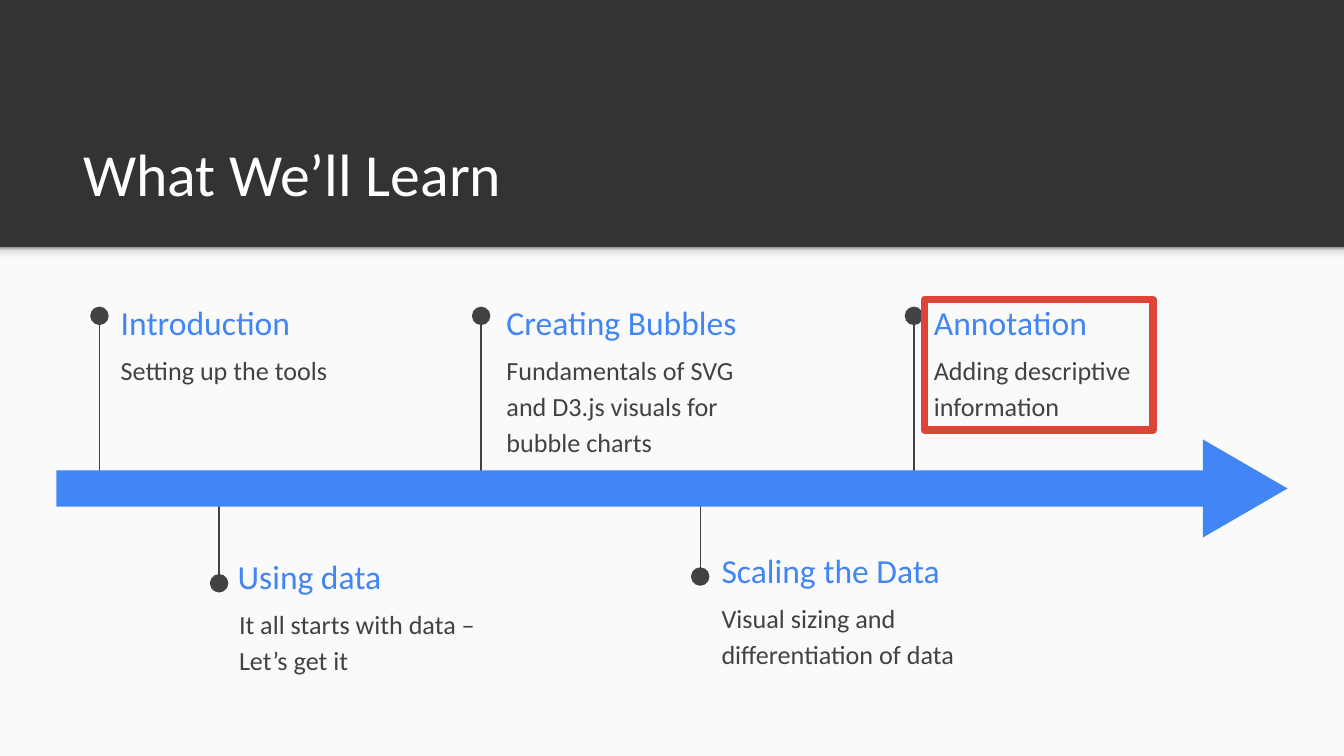
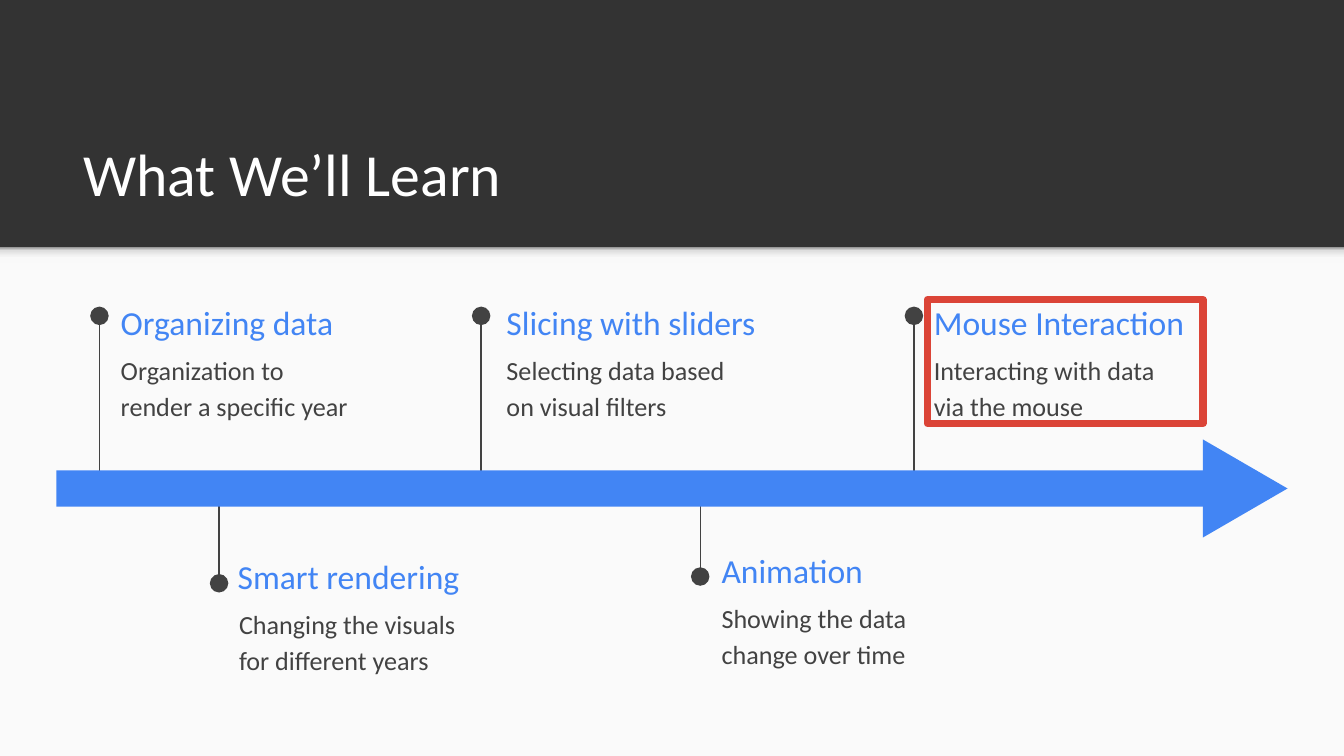
from collections import namedtuple

from lxml import etree
from pptx import Presentation
from pptx.dml.color import RGBColor
from pptx.enum.shapes import MSO_CONNECTOR, MSO_SHAPE
from pptx.enum.text import MSO_ANCHOR
from pptx.oxml.ns import qn
from pptx.util import Inches, Pt

# Shared look
FONT = "Calibri"
CHARCOAL = RGBColor(0x33, 0x33, 0x33)
PAPER = RGBColor(0xFA, 0xFA, 0xFA)
GREY = RGBColor(0x42, 0x42, 0x42)
BLUE = RGBColor(0x42, 0x85, 0xF4)
RED = RGBColor(0xDB, 0x44, 0x37)
WHITE = RGBColor(0xFF, 0xFF, 0xFF)
BAND_SHADE = [(0, "F9F9F9"), (36, "F9F9F9"), (80, "DEDEDE"), (100, "999999")]
SLIDE_WIDTH = 10
SLIDE_HEIGHT = SLIDE_WIDTH * 9 / 16
BAND_TOP = 1.84
STEP_WIDTH = 1.98
HEADING_TO_DETAIL = 0.32

# Fixed places of the five milestones along the arrow
Stop = namedtuple("Stop", "stem_x stem_start stem_end heading_x detail_x heading_y")
STOPS = [
    Stop(0.74, 3.58, 2.35, 0.8, 0.8, 2.18),
    Stop(1.63, 3.6, 4.34, 1.67, 1.68, 4.07),
    Stop(3.58, 3.61, 2.35, 3.67, 3.67, 2.18),
    Stop(5.21, 3.56, 4.29, 5.27, 5.27, 4.03),
    Stop(6.8, 3.62, 2.35, 6.85, 6.85, 2.18),
]

# Each slide: (heading, detail, heading width) per milestone, and the highlight
LESSONS = [
    ([
        ("Introduction", "Setting up the tools", STEP_WIDTH),
        ("Using data", "It all starts with data – Let’s get it", 2.54),
        ("Creating Bubbles",
         "Fundamentals of SVG and D3.js visuals for bubble charts", STEP_WIDTH),
        ("Scaling the Data", "Visual sizing and differentiation of data", STEP_WIDTH),
        ("Annotation", "Adding descriptive information", STEP_WIDTH),
    ], (6.88, 2.23, 1.7, 0.97)),
    ([
        ("Organizing data", "Organization to render a specific year", STEP_WIDTH),
        ("Smart rendering", "Changing the visuals for different years", 2.54),
        ("Slicing with sliders", "Selecting data based on visual filters", 2.58),
        ("Animation", "Showing the data change over time", STEP_WIDTH),
        ("Mouse Interaction", "Interacting with data via the mouse", 2.1),
    ], (6.9, 2.23, 2.05, 0.92)),
]


def add_block(shapes, kind, box, color=None):
    block = shapes.add_shape(kind, *map(Inches, box))
    block.shadow.inherit = False
    block.line.fill.background()
    if color is None:
        block.fill.background()
    else:
        block.fill.solid()
        block.fill.fore_color.rgb = color
    return block


def add_label(slide, box, text, size, color, anchor):
    label = slide.shapes.add_textbox(*map(Inches, box))
    frame = label.text_frame
    frame.word_wrap = True
    frame.vertical_anchor = anchor
    frame.margin_left = frame.margin_right = Inches(0.1)
    frame.margin_top = frame.margin_bottom = Inches(0.1)
    paragraph = frame.paragraphs[0]
    run = paragraph.add_run()
    run.text = text
    run.font.name = FONT
    run.font.size = Pt(size)
    run.font.color.rgb = color
    return paragraph


def add_backdrop(slide):
    slide.background.fill.solid()
    slide.background.fill.fore_color.rgb = CHARCOAL
    add_block(slide.shapes, MSO_SHAPE.RECTANGLE,
              (0, BAND_TOP, SLIDE_WIDTH, SLIDE_HEIGHT - BAND_TOP), PAPER)

    # Soft shade under the header, darkest at its top edge
    shade = add_block(slide.shapes, MSO_SHAPE.RECTANGLE,
                      (0, BAND_TOP, SLIDE_WIDTH, 0.12))
    shade.fill.gradient()
    shade.fill.gradient_angle = 90
    stops = shade._element.spPr.find(f".//{qn('a:gsLst')}")
    for old_stop in list(stops):
        stops.remove(old_stop)
    for percent, color in BAND_SHADE:
        stop = etree.SubElement(stops, qn("a:gs"), pos=str(percent * 1000))
        etree.SubElement(stop, qn("a:srgbClr"), val=color)


def add_stem(slide, x, start, end):
    stem = slide.shapes.add_connector(
        MSO_CONNECTOR.STRAIGHT, *map(Inches, (x, start, x, end)))
    stem.line.color.rgb = GREY
    stem.line.width = Pt(0.75)
    etree.SubElement(stem.line._get_or_add_ln(), qn("a:tailEnd"),
                     type="oval", w="lg", len="lg")
    etree.SubElement(stem._element.spPr, qn("a:effectLst"))


def add_milestone(slide, stop, heading, detail, heading_width):
    add_stem(slide, stop.stem_x, stop.stem_start, stop.stem_end)
    add_label(slide, (stop.heading_x, stop.heading_y, heading_width, 0.43),
              heading, 18, BLUE, MSO_ANCHOR.MIDDLE)
    detail_y = stop.heading_y + HEADING_TO_DETAIL
    paragraph = add_label(slide, (stop.detail_x, detail_y, STEP_WIDTH, 0.63),
                          detail, 14, GREY, MSO_ANCHOR.TOP)
    paragraph.line_spacing = 1.15
    paragraph.space_after = Pt(16)


def add_timeline_arrow(slide):
    arrow = slide.shapes.add_group_shape()
    head = add_block(arrow.shapes, MSO_SHAPE.ISOSCELES_TRIANGLE,
                     (8.9, 3.32, 0.73, 0.63), BLUE)
    head.rotation = 90
    add_block(arrow.shapes, MSO_SHAPE.RECTANGLE, (0.42, 3.5, 8.64, 0.27), BLUE)


def add_highlight(slide, box):
    highlight = add_block(slide.shapes, MSO_SHAPE.RECTANGLE, box)
    highlight.line.color.rgb = RED
    highlight.line.width = Pt(4)
    etree.SubElement(highlight.line._get_or_add_ln(), qn("a:round"))


def main():
    deck = Presentation()
    deck.slide_width = Inches(SLIDE_WIDTH)
    deck.slide_height = Inches(SLIDE_HEIGHT)
    for milestones, highlight_box in LESSONS:
        slide = deck.slides.add_slide(deck.slide_layouts[6])
        add_backdrop(slide)
        for stop, milestone in zip(STOPS, milestones):
            add_milestone(slide, stop, *milestone)
        add_label(slide, (0.52, 0.81, 8.99, 0.84), "What We’ll Learn",
                  32, WHITE, MSO_ANCHOR.BOTTOM)
        add_timeline_arrow(slide)
        add_highlight(slide, highlight_box)
    deck.save("out.pptx")


if __name__ == "__main__":
    main()
